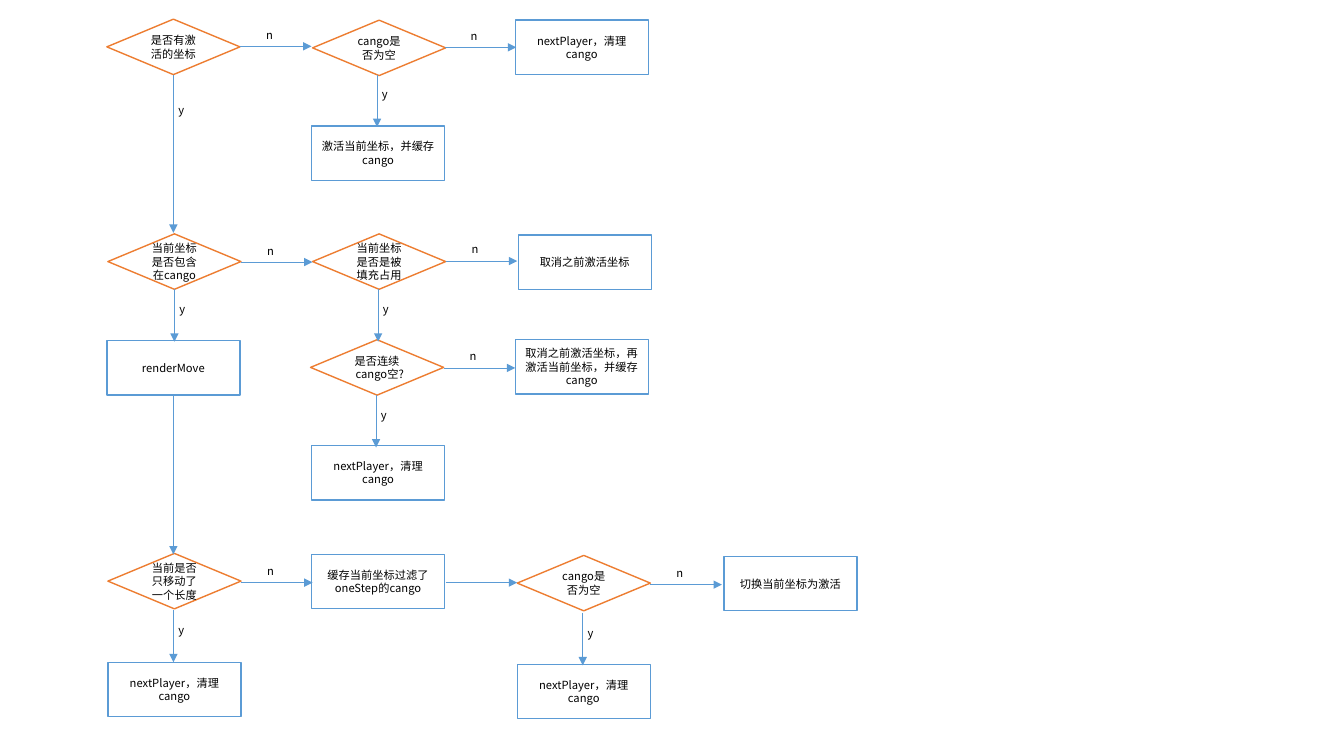
from dataclasses import dataclass

from lxml import etree
from pptx import Presentation
from pptx.dml.color import RGBColor
from pptx.enum.shapes import MSO_CONNECTOR, MSO_SHAPE
from pptx.enum.text import MSO_ANCHOR, MSO_AUTO_SIZE, PP_ALIGN
from pptx.oxml.ns import qn
from pptx.slide import Slide
from pptx.text.text import TextFrame
from pptx.util import Inches, Pt

DIAMOND = MSO_SHAPE.DIAMOND
RECTANGLE = MSO_SHAPE.RECTANGLE
STRAIGHT = MSO_CONNECTOR.STRAIGHT
MIDDLE = MSO_ANCHOR.MIDDLE
CENTER = PP_ALIGN.CENTER
FIT_TEXT = MSO_AUTO_SIZE.SHAPE_TO_FIT_TEXT

FONT = "Noto Sans CJK SC"
COLORS = {"decision": "ED7D31", "action": "5B9BD5", "fill": "FFFFFF", "text": "000000"}
NODE_WIDTH = 1.32
DECISION_HEIGHT, ACTION_HEIGHT = 0.55, 0.54
ACROSS, DOWN, LONG_DOWN = 0.71, 0.52, 1.57
CLEAR = "nextPlayer，清理cango"
IS_EMPTY = "cango是否为空"


@dataclass(frozen=True)
class Node:
    text: str
    left: float
    top: float


@dataclass(frozen=True)
class Arrow:
    left: float
    top: float
    length: float
    label: str = ""
    label_gap: float = 0.08


DECISIONS = [
    Node("是否有激活的坐标", 1.06, 0.19),
    Node(IS_EMPTY, 3.1, 0.2),
    Node("当前坐标是否包含在cango", 1.07, 2.32),
    Node("当前坐标是否是被填充占用", 3.1, 2.32),
    Node("是否连续cango空?", 3.08, 3.37),
    Node("当前是否只移动了一个长度", 1.07, 5.49),
    Node(IS_EMPTY, 5.13, 5.51),
]
ACTIONS = [
    Node(CLEAR, 5.11, 0.2),
    Node("激活当前坐标，并缓存cango", 3.09, 1.25),
    Node("取消之前激活坐标", 5.14, 2.33),
    Node("renderMove", 1.06, 3.38),
    Node("取消之前激活坐标，再激活当前坐标，并缓存cango", 5.11, 3.37),
    Node(CLEAR, 3.09, 4.42),
    Node("缓存当前坐标过滤了oneStep的cango", 3.09, 5.5),
    Node("切换当前坐标为激活", 7.18, 5.52),
    Node(CLEAR, 1.07, 6.57),
    Node(CLEAR, 5.13, 6.59),
]
ACROSS_ARROWS = [
    Arrow(2.38, 0.46, ACROSS, "n"),
    Arrow(4.41, 0.47, ACROSS, "n"),
    Arrow(2.39, 2.6, ACROSS, "n"),
    Arrow(4.42, 2.59, ACROSS, "n"),
    Arrow(4.4, 3.65, ACROSS, "n"),
    Arrow(2.39, 5.78, ACROSS, "n"),
    Arrow(4.42, 5.78, ACROSS),
    Arrow(6.45, 5.8, ACROSS, "n"),
]
DOWN_ARROWS = [
    Arrow(1.72, 0.74, LONG_DOWN, "y", 0.24),
    Arrow(3.74, 0.74, DOWN, "y"),
    Arrow(1.73, 2.87, DOWN, "y"),
    Arrow(3.75, 2.87, DOWN, "y"),
    Arrow(3.73, 3.92, DOWN, "y"),
    Arrow(1.72, 3.93, LONG_DOWN),
    Arrow(1.72, 6.05, DOWN, "y"),
    Arrow(5.78, 6.08, DOWN, "y"),
]


def color(name: str) -> RGBColor:
    return RGBColor.from_string(COLORS[name])


def write_text(text_frame: TextFrame, text: str) -> None:
    text_frame.text = text
    font = text_frame.paragraphs[0].runs[0].font
    font.name = FONT
    font.size = Pt(8)
    font.color.rgb = color("text")
    properties = text_frame.paragraphs[0].runs[0].font._element
    etree.SubElement(properties, qn("a:ea")).set("typeface", FONT)


def add_node(slide: Slide, node: Node, kind: str) -> None:
    preset, height = (
        (DIAMOND, DECISION_HEIGHT) if kind == "decision" else (RECTANGLE, ACTION_HEIGHT)
    )
    shape = slide.shapes.add_shape(
        preset, Inches(node.left), Inches(node.top), Inches(NODE_WIDTH), Inches(height)
    )
    shape.shadow.inherit = False
    shape.fill.solid()
    shape.fill.fore_color.rgb = color("fill")
    shape.line.color.rgb = color(kind)
    shape.line.width = Pt(1)
    text_frame = shape.text_frame
    text_frame.word_wrap = True
    text_frame.vertical_anchor = MIDDLE
    write_text(text_frame, node.text)
    text_frame.paragraphs[0].alignment = CENTER


def add_label(slide: Slide, text: str, left: float, top: float) -> None:
    label = slide.shapes.add_textbox(Inches(left), Inches(top), Inches(0.25), Inches(0.24))
    label.text_frame.word_wrap = False
    label.text_frame.auto_size = FIT_TEXT
    write_text(label.text_frame, text)


def add_arrow(slide: Slide, arrow: Arrow, across: bool) -> None:
    right = arrow.left + (arrow.length if across else 0)
    bottom = arrow.top + (0 if across else arrow.length)
    connector = slide.shapes.add_connector(
        STRAIGHT, Inches(arrow.left), Inches(arrow.top), Inches(right), Inches(bottom)
    )
    connector.line.color.rgb = color("action")
    connector.line.width = Pt(0.5)
    line = connector.line._get_or_add_ln()
    etree.SubElement(line, qn("a:tailEnd")).set("type", "triangle")
    etree.SubElement(connector._element.spPr, qn("a:effectLst"))
    if arrow.label and across:
        add_label(slide, arrow.label, arrow.left + 0.16, arrow.top - 0.23)
    elif arrow.label:
        add_label(slide, arrow.label, arrow.left - 0.05, arrow.top + arrow.label_gap)


presentation = Presentation()
presentation.slide_width = Inches(13.33)
presentation.slide_height = Inches(7.5)
slide = presentation.slides.add_slide(presentation.slide_layouts[6])

for decision in DECISIONS:
    add_node(slide, decision, "decision")
for action in ACTIONS:
    add_node(slide, action, "action")
for across_arrow in ACROSS_ARROWS:
    add_arrow(slide, across_arrow, across=True)
for down_arrow in DOWN_ARROWS:
    add_arrow(slide, down_arrow, across=False)

presentation.save("out.pptx")
